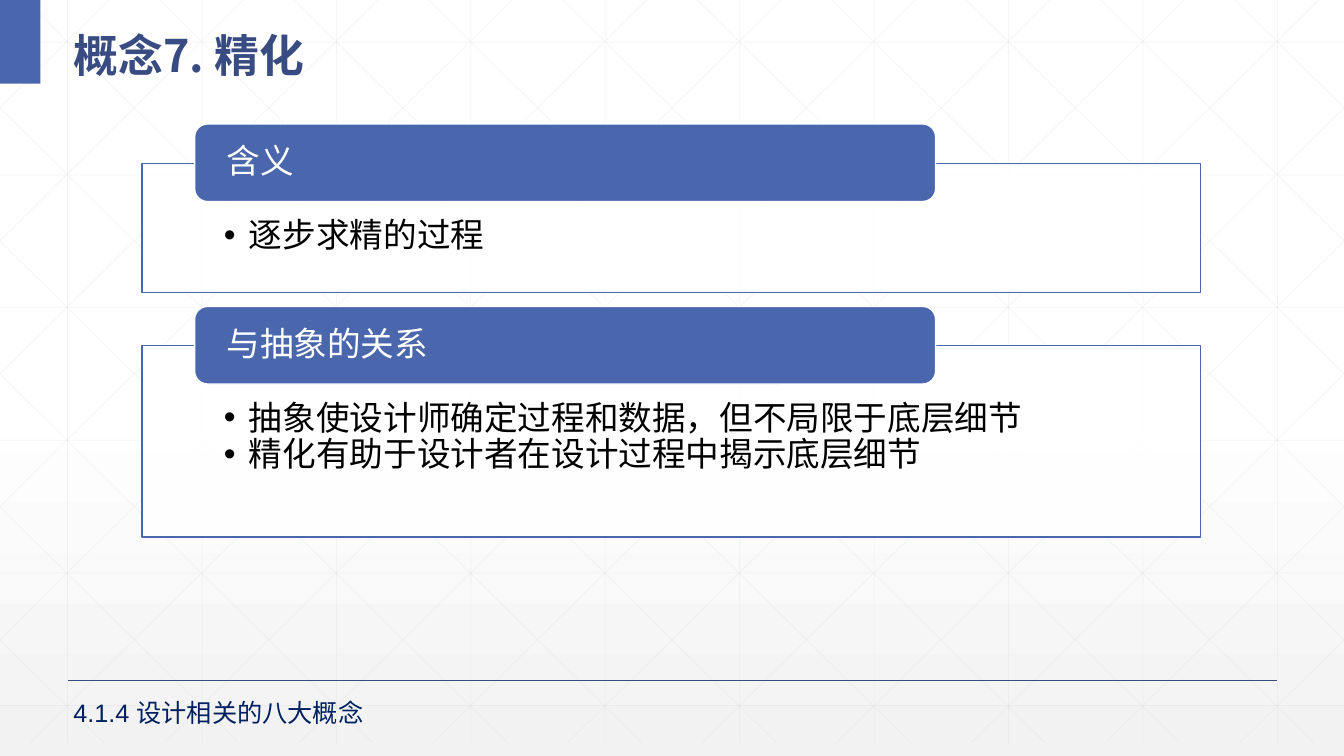
"""Build the slide on refinement, with two headed panels over a faint line pattern."""
from lxml import etree
from pptx import Presentation
from pptx import util as u
from pptx.dml.color import RGBColor
from pptx.enum import shapes, text
from pptx.oxml.ns import qn

TITLE = "概念7. 精化"
FOOTER = "4.1.4 设计相关的八大概念"
PANELS = [
    ("含义", ["逐步求精的过程"], 1.62, 1.28),
    ("与抽象的关系", ["抽象使设计师确定过程和数据，但不局限于底层细节",
                "精化有助于设计者在设计过程中揭示底层细节"], 3.43, 1.9),
]
BACKGROUND_STOPS = [(0, "FFFFFF", 100), (53, "FFFFFF", 100), (100, "F2F2F2", 65)]

BLUE = RGBColor(0x4A, 0x66, 0xAC)
DARK_BLUE = RGBColor(0x38, 0x4C, 0x81)
NAVY = RGBColor(0x00, 0x20, 0x60)
GRID_GREY = RGBColor(0xD9, 0xD9, 0xD9)
WHITE = RGBColor(0xFF, 0xFF, 0xFF)
BLACK = RGBColor(0, 0, 0)
CJK_FONT = "Noto Sans CJK SC"
WIDTH, HEIGHT = 13.33, 7.5
GRID_BOTTOM, GRID_RUN = 7.37, 7.45
COLUMN_STEP, ROW_STEP = 4 / 3, 1.316

deck = Presentation()
deck.slide_width, deck.slide_height = u.Inches(WIDTH), u.Inches(HEIGHT)
page = deck.slides.add_slide(deck.slide_layouts[6])


def set_opacity(color, percent):
    etree.SubElement(color, qn("a:alpha")).set("val", str(percent * 1000))


def paint_background():
    fill = page.background.fill
    fill.gradient()
    fill.gradient_angle = 270
    stops = page.element.find(".//" + qn("a:gsLst"))
    for stop in list(stops):
        stops.remove(stop)
    for position, value, opacity in BACKGROUND_STOPS:
        stop = etree.SubElement(stops, qn("a:gs"), pos=str(position * 1000))
        color = etree.SubElement(stop, qn("a:srgbClr"), val=value)
        set_opacity(color, opacity)


def add_line(x1, y1, x2, y2, color=GRID_GREY, width=0.5, opacity=25):
    ends = [u.Inches(value) for value in (x1, y1, x2, y2)]
    line = page.shapes.add_connector(shapes.MSO_CONNECTOR.STRAIGHT, *ends)
    line.line.color.rgb = color
    line.line.width = u.Pt(width)
    set_opacity(line.element.spPr.find(".//" + qn("a:srgbClr")), opacity)
    etree.SubElement(line.element.spPr, qn("a:effectLst"))


def draw_grid():
    for column in range(10):
        x = 0.67 + column * COLUMN_STEP
        add_line(x, 0, x, GRID_BOTTOM)
    for row in range(6):
        y = 0.42 + row * ROW_STEP
        add_line(0, y, WIDTH, y)
    slope = GRID_BOTTOM / GRID_RUN
    for diagonal in range(-5, 10):
        start = 0.25 + diagonal * COLUMN_STEP
        left, right = max(start, 0), min(start + GRID_RUN, WIDTH)
        top, bottom = (left - start) * slope, (right - start) * slope
        add_line(left, top, right, bottom)
        add_line(WIDTH - left, top, WIDTH - right, bottom)


def add_block(kind, left, top, width, height, fill, line=None):
    block = page.shapes.add_shape(kind, *map(u.Inches, (left, top, width, height)))
    block.shadow.inherit = False
    block.fill.solid()
    block.fill.fore_color.rgb = fill
    if line is None:
        block.line.fill.background()
    else:
        block.line.color.rgb = line
        block.line.width = u.Pt(1)
    return block


def write_text(box, lines, size, color, font="Arial", bold=False, spacing=None,
               insets=(0.1, 0.05, 0.1, 0.05), anchor=text.MSO_ANCHOR.TOP,
               bullet=False, wrap=True):
    frame = box.text_frame
    frame.word_wrap = wrap
    frame.vertical_anchor = anchor
    (frame.margin_left, frame.margin_top,
     frame.margin_right, frame.margin_bottom) = map(u.Inches, insets)
    for number, words in enumerate(lines):
        para = frame.add_paragraph() if number else frame.paragraphs[0]
        para.alignment = text.PP_ALIGN.LEFT
        para.line_spacing = spacing
        if bullet:
            properties = para._p.get_or_add_pPr()
            properties.set("marL", str(u.Inches(0.25)))
            properties.set("indent", str(-u.Inches(0.25)))
            etree.SubElement(properties, qn("a:buFont"), typeface="Arial")
            etree.SubElement(properties, qn("a:buChar"), char="•")
        span = para.add_run()
        span.text = words
        span.font.name, span.font.size, span.font.bold = font, u.Pt(size), bold
        span.font.color.rgb = color
        etree.SubElement(span.font._element, qn("a:ea"), typeface=CJK_FONT)


def add_label(left, top, width, height, words, size, color, **style):
    box = page.shapes.add_textbox(*map(u.Inches, (left, top, width, height)))
    write_text(box, [words], size, color, **style)


def add_panel(heading, points, top, height):
    body = add_block(shapes.MSO_SHAPE.RECTANGLE, 1.41, top, 10.5, height, WHITE, BLUE)
    set_opacity(body.element.spPr.find(qn("a:solidFill"))[0], 90)
    write_text(body, points, 24, BLACK, spacing=0.9, bullet=True,
               insets=(0.81, 0.55, 0.81, 0.19))
    tab = add_block(shapes.MSO_SHAPE.ROUNDED_RECTANGLE, 1.93, top - 0.39,
                    7.35, 0.77, BLUE, WHITE)
    write_text(tab, [heading], 24, WHITE, spacing=0.9, insets=(0.28, 0, 0.28, 0),
               anchor=text.MSO_ANCHOR.MIDDLE)


paint_background()
draw_grid()
add_line(0.67, 6.75, 12.67, 6.75, DARK_BLUE, 1, 100)
add_block(shapes.MSO_SHAPE.RECTANGLE, 0, 0, 0.4, 0.83, BLUE)
add_label(0.63, 0.1, 12.42, 0.73, TITLE, 32, DARK_BLUE, font=CJK_FONT, bold=True,
          spacing=1.3, anchor=text.MSO_ANCHOR.MIDDLE)
for panel in PANELS:
    add_panel(*panel)
add_label(0.63, 6.87, 3.78, 0.4, FOOTER, 18, NAVY, wrap=False)
deck.save("out.pptx")
